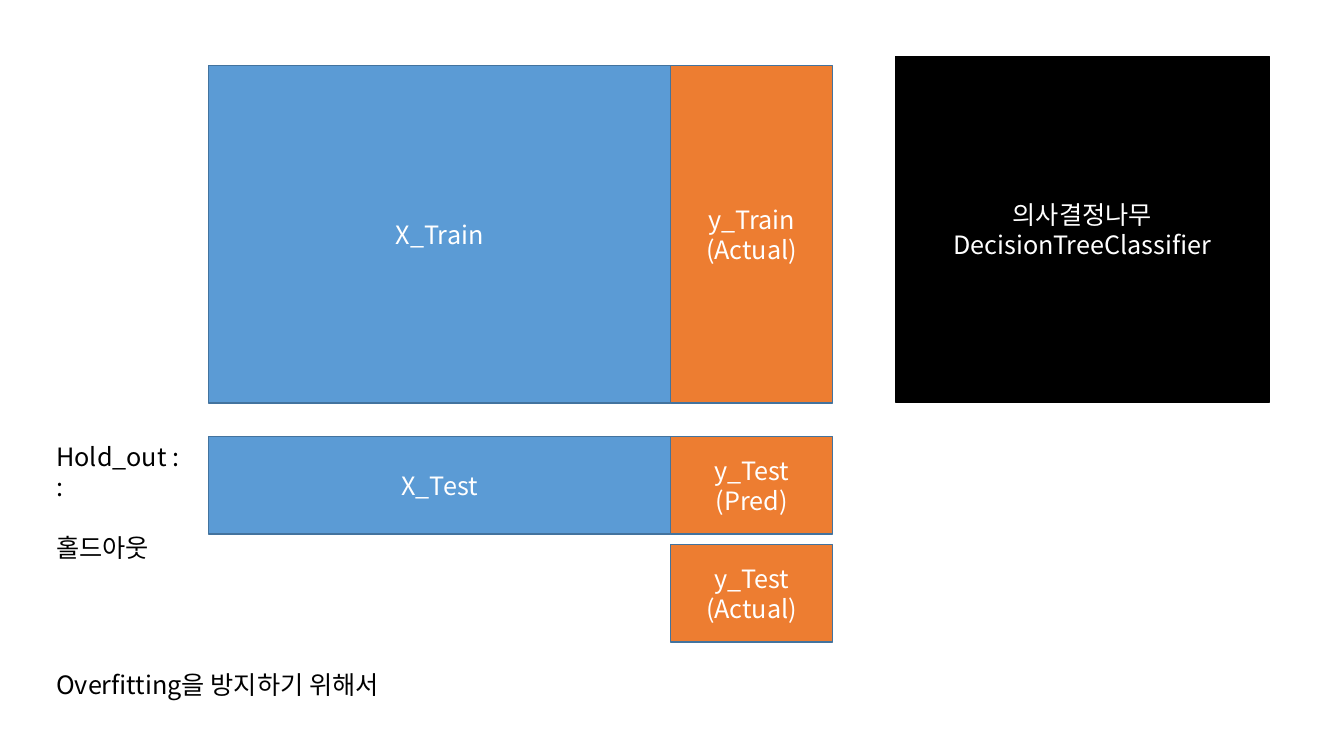
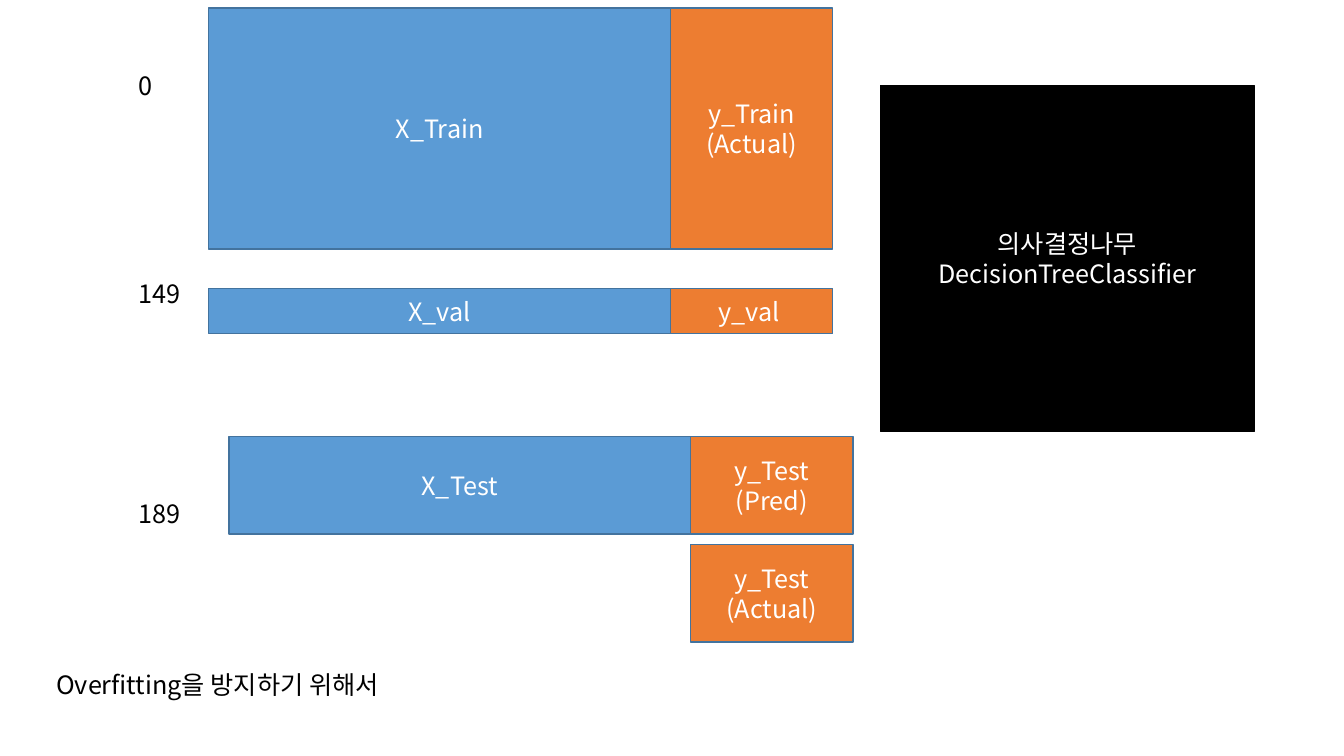
from pptx import Presentation
from pptx.dml.color import RGBColor
from pptx.enum.shapes import MSO_SHAPE
from pptx.enum.text import MSO_ANCHOR, PP_ALIGN
from pptx.oxml.ns import qn
from pptx.util import Inches, Pt

FONT = "Noto Sans CJK KR"
FEATURE, TARGET, EDGE = "5B9BD5", "ED7D31", "43739E"
WHITE, BLACK = "FFFFFF", "000000"
FEATURE_WIDTH, TARGET_WIDTH = 4.58, 1.61
DATA_LEFT = 2.07
TEST_TOP, TEST_HEIGHT, TEST_STEP = 4.33, 0.97, 1.07
MODEL_WIDTH, MODEL_HEIGHT = 3.71, 3.43
LINE_PITCH = Pt(21.6)


def color(hex_value):
    """Turn a hex string into a colour."""
    return RGBColor.from_string(hex_value)


def apply(target, formats):
    """Set every attribute of a format dict on the target."""
    for name, value in formats.items():
        setattr(target, name, value)


def write(frame, text, hex_value, align):
    """Fill a text frame, one paragraph for each line of text."""
    frame.text = text
    for paragraph in frame.paragraphs:
        apply(paragraph, {"alignment": align, "line_spacing": LINE_PITCH})
        for run in paragraph.runs:
            apply(run.font, {"name": FONT, "size": Pt(18)})
            run.font.color.rgb = color(hex_value)
            east_asian = run.font._element.makeelement(qn("a:ea"), {"typeface": FONT})
            run.font._element.find(qn("a:latin")).addnext(east_asian)


def block(slide, box, text, fill, edge=EDGE):
    """Draw a filled rectangle with centred white text."""
    rect = slide.shapes.add_shape(MSO_SHAPE.RECTANGLE, *map(Inches, box))
    rect.shadow.inherit = False
    rect.fill.solid()
    rect.fill.fore_color.rgb = color(fill)
    rect.line.color.rgb = color(edge)
    rect.line.width = Pt(1)
    apply(rect.text_frame, {"word_wrap": True, "vertical_anchor": MSO_ANCHOR.MIDDLE})
    write(rect.text_frame, text, WHITE, PP_ALIGN.CENTER)


def label(slide, box, text):
    """Place black left-aligned text and return its frame."""
    frame = slide.shapes.add_textbox(*map(Inches, box)).text_frame
    frame.word_wrap = True
    write(frame, text, BLACK, PP_ALIGN.LEFT)
    return frame


def data_row(slide, left, top, height, features, target):
    """Draw a feature block with its target block to the right."""
    block(slide, (left, top, FEATURE_WIDTH, height), features, FEATURE)
    block(slide, (left + FEATURE_WIDTH, top, TARGET_WIDTH, height), target, TARGET)


def test_set(slide, left):
    """Draw the test row with the actual targets below the predicted ones."""
    data_row(slide, left, TEST_TOP, TEST_HEIGHT, "X_Test", "y_Test (Pred)")
    actual_box = (left + FEATURE_WIDTH, TEST_TOP + TEST_STEP, TARGET_WIDTH, TEST_HEIGHT)
    block(slide, actual_box, "y_Test (Actual)", TARGET)


def split_slide(deck, train_top, train_height, test_left, model_left, model_top):
    """Add a slide with the parts that every data split shares."""
    slide = deck.slides.add_slide(deck.slide_layouts[6])
    data_row(slide, DATA_LEFT, train_top, train_height, "X_Train", "y_Train\n(Actual)")
    test_set(slide, test_left)
    model_box = (model_left, model_top, MODEL_WIDTH, MODEL_HEIGHT)
    block(slide, model_box, "의사결정나무\nDecisionTreeClassifier", BLACK, BLACK)
    label(slide, (0.46, 6.59, 3.62, 0.4), "Overfitting을 방지하기 위해서")
    return slide


def hold_out_slide(deck):
    """Show the split into training and test data."""
    slide = split_slide(deck, 0.65, 3.35, DATA_LEFT, 8.88, 0.56)
    hold_out = label(slide, (0.46, TEST_TOP, 1.44, 1.01), "Hold_out :\v:\n홀드아웃")
    hold_out.paragraphs[1].space_before = LINE_PITCH


def validation_slide(deck):
    """Show the split with a validation set and row numbers."""
    slide = split_slide(deck, 0.08, 2.39, 2.27, 8.73, 0.85)
    data_row(slide, DATA_LEFT, 2.86, 0.45, "X_val", "y_val ")
    for top, row_number in ((0.65, "0"), (2.71, "149"), (4.89, "189")):
        label(slide, (1.28, top, 2.19, 0.4), row_number)


def main():
    """Build and save the deck."""
    deck = Presentation()
    apply(deck, {"slide_width": Inches(13.33), "slide_height": Inches(7.5)})
    hold_out_slide(deck)
    validation_slide(deck)
    deck.save("out.pptx")


if __name__ == "__main__":
    main()
